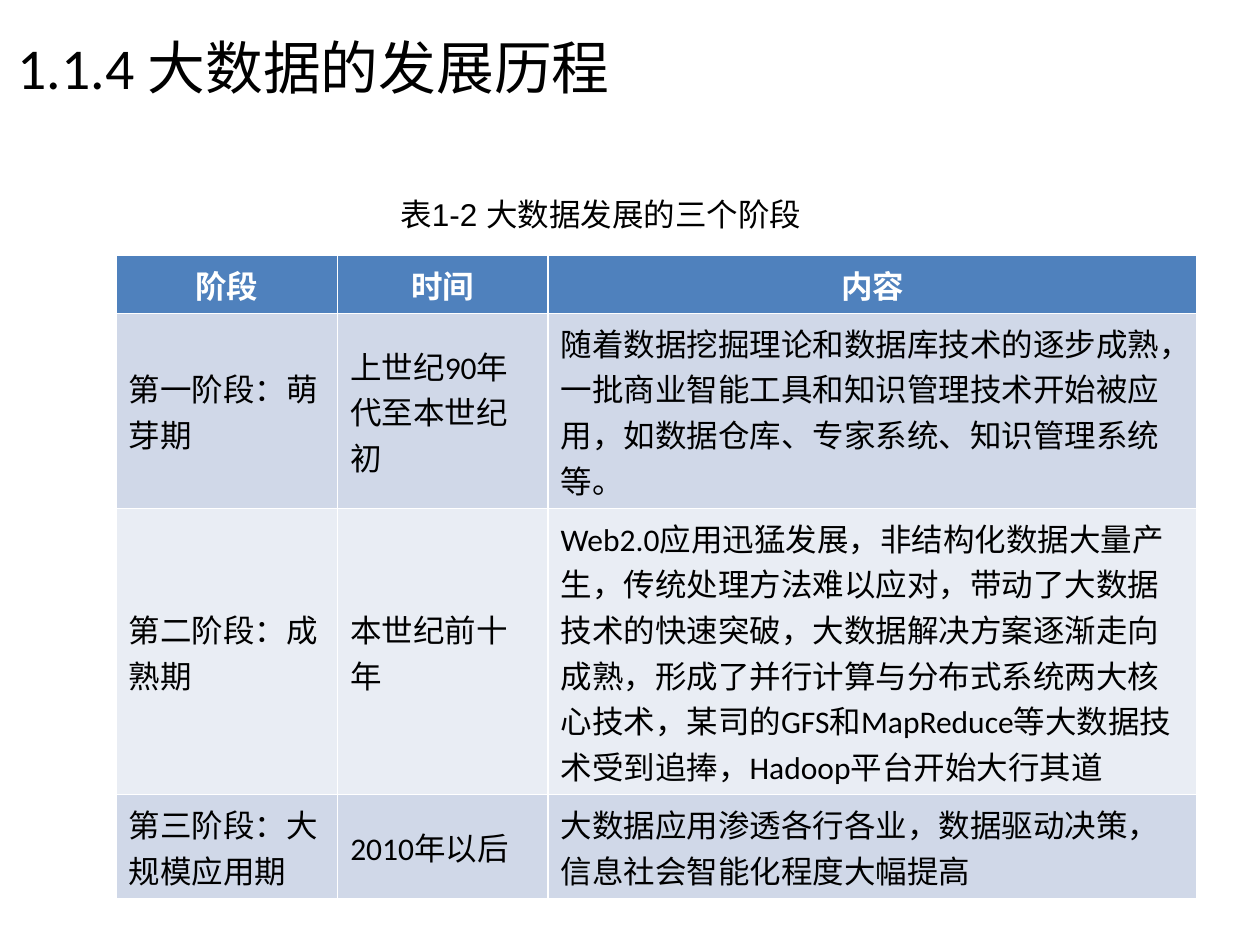
from pptx import Presentation
from pptx.dml.color import RGBColor
from pptx.enum.text import MSO_ANCHOR, MSO_AUTO_SIZE, PP_ALIGN
from pptx.util import Inches, Pt

COLORS = {"ink": "000000", "paper": "FFFFFF", "header": "4F81BD",
          "odd": "D0D8E8", "even": "E9EDF4"}
COLUMNS = [1.76, 1.67, 5.15]
ROWS = [0.4, 1.3, 1.9, 0.7]
STAGES = [
    ["阶段", "时间", "内容"],
    ["第一阶段：萌芽期", "上世纪90年代至本世纪初",
     "随着数据挖掘理论和数据库技术的逐步成熟，一批商业智能工具和知识管理技术开始被应用，"
     "如数据仓库、专家系统、知识管理系统等。"],
    ["第二阶段：成熟期", "本世纪前十年",
     "Web2.0应用迅猛发展，非结构化数据大量产生，传统处理方法难以应对，带动了大数据技术的快速突破，"
     "大数据解决方案逐渐走向成熟，形成了并行计算与分布式系统两大核心技术，"
     "某司的GFS和MapReduce等大数据技术受到追捧，Hadoop平台开始大行其道"],
    ["第三阶段：大规模应用期", "2010年以后",
     "大数据应用渗透各行各业，数据驱动决策，信息社会智能化程度大幅提高"],
]


class StagePage:
    """Holds the deck, its current page and the shared text style."""

    def __init__(self, width, height):
        self.deck = Presentation()
        self.deck.slide_width, self.deck.slide_height = Inches(width), Inches(height)
        self.page = self.deck.slides.add_slide(self.deck.slide_layouts[5])

    def area(self, left, top, width, height):
        across, down = self.deck.slide_width, self.deck.slide_height
        return [int(across * left), int(down * top), int(across * width), int(down * height)]

    def set_text(self, frame, text, size, face="Calibri", color="ink", bold=False,
                 align=PP_ALIGN.LEFT):
        frame.text = text
        para = frame.paragraphs[0]
        para.alignment = align
        para.font.size, para.font.name, para.font.bold = Pt(size), face, bold
        para.font.color.rgb = RGBColor.from_string(COLORS[color])
        return para

    def title(self, text, *shares):
        box = self.page.shapes.title
        box.left, box.top, box.width, box.height = self.area(*shares)
        box.text_frame.auto_size = MSO_AUTO_SIZE.NONE
        box.text_frame.vertical_anchor = MSO_ANCHOR.MIDDLE
        self.set_text(box.text_frame, text, 33).line_spacing = 0.9

    def caption(self, text, *shares):
        frame = self.page.shapes.add_textbox(*self.area(*shares)).text_frame
        frame.word_wrap = True
        frame.auto_size = MSO_AUTO_SIZE.SHAPE_TO_FIT_TEXT
        self.set_text(frame, text, 18, "Arial")

    def table(self, records, columns, rows, left, top):
        width, height = sum(columns) / 10, sum(rows) / 7.5
        grid = self.page.shapes.add_table(
            len(rows), len(columns), *self.area(left, top, width, height)).table
        for column, size in zip(grid.columns, columns):
            column.width = Inches(size)
        for row, size in zip(grid.rows, rows):
            row.height = Inches(size)
        for number, record in enumerate(records):
            header = number == 0
            band = "header" if header else "odd" if number % 2 else "even"
            for cell, text in zip(grid.rows[number].cells, record):
                cell.fill.solid()
                cell.fill.fore_color.rgb = RGBColor.from_string(COLORS[band])
                cell.vertical_anchor = MSO_ANCHOR.MIDDLE
                self.set_text(cell.text_frame, text, 18, bold=header,
                              color="paper" if header else "ink",
                              align=PP_ALIGN.CENTER if header else PP_ALIGN.LEFT)


def main():
    slide = StagePage(10, 7.5)
    slide.title("1.1.4 大数据的发展历程", 0.004, 0.01, 0.875, 0.13)
    slide.table(STAGES, COLUMNS, ROWS, 0.092, 0.27)
    slide.caption("表1-2 大数据发展的三个阶段", 0.308, 0.2, 0.367, 0.05)
    slide.deck.save("out.pptx")


if __name__ == "__main__":
    main()
